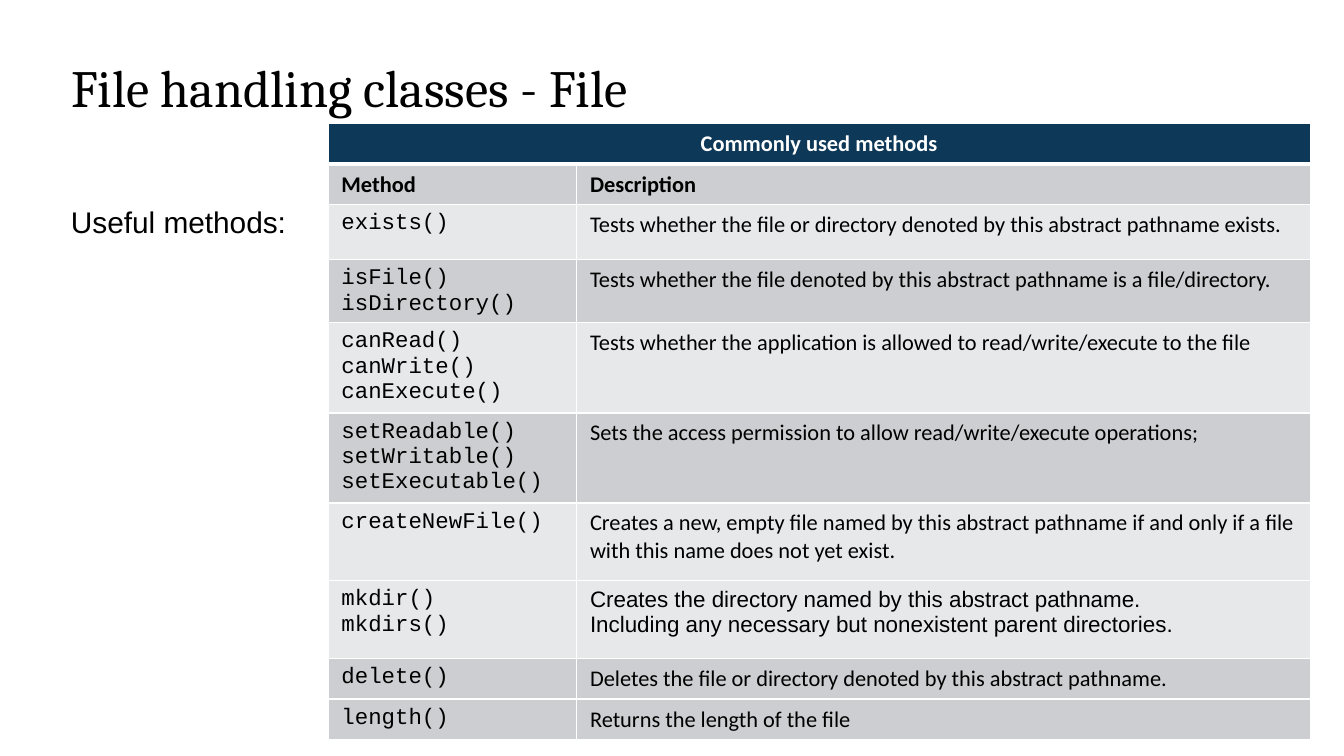
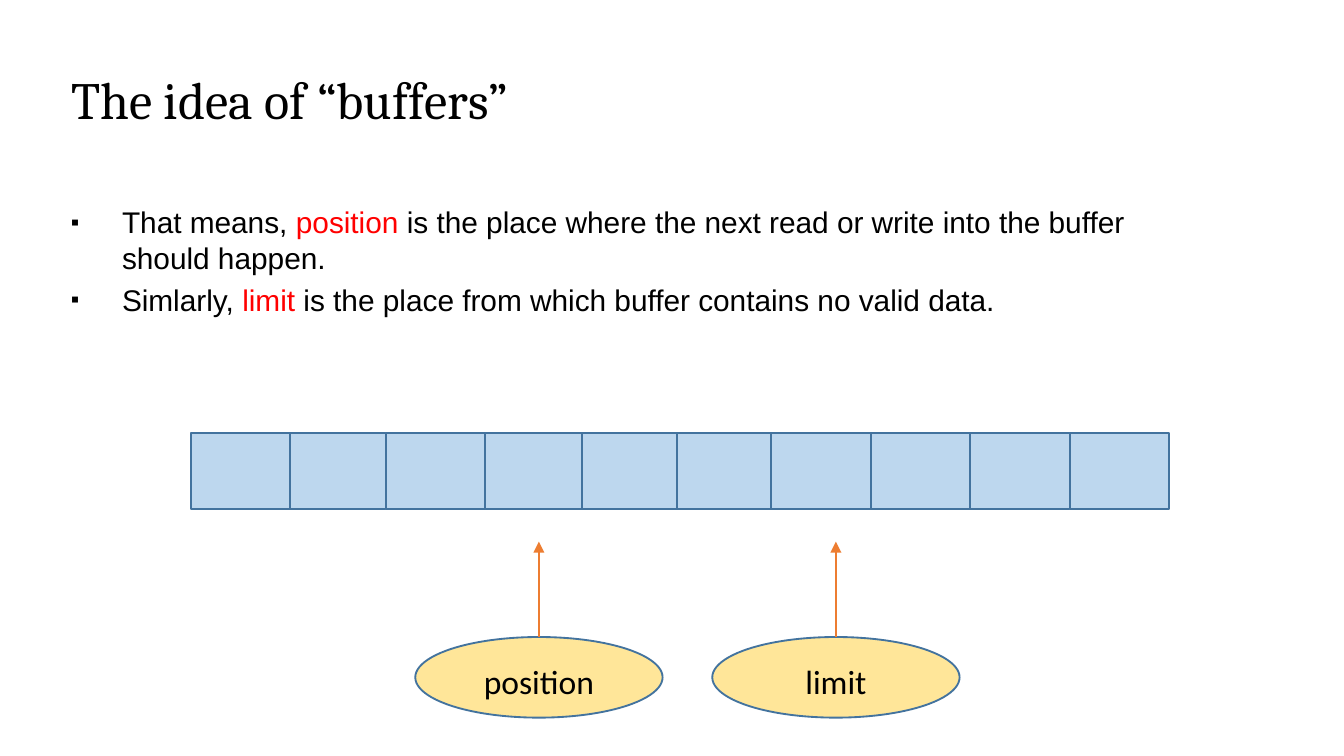
from dataclasses import dataclass

import pptx
import pptx.dml.color
import pptx.enum.shapes
import pptx.enum.text
import pptx.oxml.ns
import pptx.util
from lxml import etree

RGBColor = pptx.dml.color.RGBColor
Inches = pptx.util.Inches
Pt = pptx.util.Pt
PP_ALIGN = pptx.enum.text.PP_ALIGN
MSO_SHAPE = pptx.enum.shapes.MSO_SHAPE
qn = pptx.oxml.ns.qn

BLACK = RGBColor(0x00, 0x00, 0x00)
WHITE = RGBColor(0xFF, 0xFF, 0xFF)
RED = RGBColor(0xFF, 0x00, 0x00)
NAVY = RGBColor(0x0D, 0x38, 0x57)
DARK_BAND = RGBColor(0xCC, 0xCE, 0xD1)
LIGHT_BAND = RGBColor(0xE7, 0xE8, 0xEA)
CELL_BLUE = RGBColor(0xBD, 0xD7, 0xEE)
OUTLINE = RGBColor(0x43, 0x73, 0x9E)
LABEL_YELLOW = RGBColor(0xFF, 0xE6, 0x99)
ARROW_ORANGE = RGBColor(0xED, 0x7D, 0x31)

TITLE_FONT, BODY_FONT, TABLE_FONT, CODE_FONT = "Cambria", "Arial", "Calibri", "Courier New"
MARGIN, CONTENT_WIDTH, BODY_TOP = 0.43, 8.5, 1.47


@dataclass(frozen=True)
class MethodRow:
    methods: tuple[str, ...]
    description: tuple[str, ...]
    height: float
    fill: RGBColor
    font: str = TABLE_FONT
    method_font: str = CODE_FONT
    bold: bool = False


@dataclass(frozen=True)
class Marker:
    label: str
    left: float


METHOD_ROWS = (
    MethodRow(("Method",), ("Description",), 0.24, DARK_BAND, method_font=TABLE_FONT, bold=True),
    MethodRow(("exists()",),
              ("Tests whether the file or directory denoted by this abstract pathname exists.",),
              0.41, LIGHT_BAND),
    MethodRow(("isFile()", "isDirectory()"),
              ("Tests whether the file denoted by this abstract pathname is a file/directory.",),
              0.41, DARK_BAND),
    MethodRow(("canRead()", "canWrite()", "canExecute()"),
              ("Tests whether the application is allowed to read/write/execute to the file",),
              0.58, LIGHT_BAND),
    MethodRow(("setReadable()", "setWritable()", "setExecutable()"),
              ("Sets the access permission to allow read/write/execute operations;",),
              0.58, DARK_BAND),
    MethodRow(("createNewFile()",),
              ("Creates a new, empty file named by this abstract pathname if and only if "
               "a file with this name does not yet exist.",),
              0.58, LIGHT_BAND),
    MethodRow(("mkdir()", "mkdirs()"),
              ("Creates the directory named by this abstract pathname.",
               "Including any necessary but nonexistent parent directories."),
              0.58, LIGHT_BAND, font=BODY_FONT),
    MethodRow(("delete()",),
              ("Deletes the file or directory denoted by this abstract pathname.",),
              0.25, DARK_BAND),
    MethodRow(("length()",), ("Returns the length of the file",), 0.25, DARK_BAND),
)

BUFFER_POINTS = (
    ("That means, ", "position",
     " is the place where the next read or write into the buffer should happen."),
    ("Simlarly, ", "limit", " is the place from which buffer contains no valid data."),
)
BUFFER_LEFTS = (1.42, 3.59, 4.33, 5.04, 5.74, 6.48, 7.22, 7.96, 2.16, 2.87)
MARKERS = (Marker("limit", 5.3), Marker("position", 3.09))


def write(p, text: str, *, font: str = BODY_FONT, size: float = 16,
          color: RGBColor = BLACK, bold: bool = False) -> None:
    r = p.add_run()
    r.text = text
    r.font.name, r.font.size, r.font.bold = font, Pt(size), bold
    r.font.color.rgb = color


def write_lines(tf, lines: tuple[str, ...], align=PP_ALIGN.LEFT, **style) -> None:
    for i, line in enumerate(lines):
        p = tf.add_paragraph() if i else tf.paragraphs[0]
        p.alignment = align
        write(p, line, **style)


def add_titled_slide(prs, title: str, top: float):
    s = prs.slides.add_slide(prs.slide_layouts[5])
    sp = s.shapes.title
    sp.left, sp.top = Inches(MARGIN), Inches(top)
    sp.width, sp.height = Inches(CONTENT_WIDTH), Inches(0.94)
    tf = sp.text_frame
    tf.auto_size = pptx.enum.text.MSO_AUTO_SIZE.NONE
    tf.vertical_anchor = pptx.enum.text.MSO_ANCHOR.TOP
    write_lines(tf, (title,), font=TITLE_FONT, size=28)
    return s


def add_text_box(shapes, left: float, top: float, width: float, height: float):
    tf = shapes.add_textbox(Inches(left), Inches(top), Inches(width), Inches(height)).text_frame
    tf.word_wrap = True
    return tf


def add_bullet(p) -> None:
    pPr = p._p.get_or_add_pPr()
    pPr.set("marL", str(Inches(0.38)))
    pPr.set("indent", str(-Inches(0.38)))
    color = etree.SubElement(pPr, qn("a:buClr"))
    etree.SubElement(color, qn("a:srgbClr"), val=str(BLACK))
    etree.SubElement(pPr, qn("a:buSzPct"), val="80000")
    etree.SubElement(pPr, qn("a:buFont"), typeface=BODY_FONT)
    etree.SubElement(pPr, qn("a:buChar"), char="▪")


def style_cell(cell, fill: RGBColor, top: float = 1, bottom: float = 1) -> None:
    """Give a cell white borders, in points, and a solid fill."""
    tcPr = cell._tc.get_or_add_tcPr()
    for side, width in (("L", 1), ("R", 1), ("T", top), ("B", bottom)):
        ln = etree.SubElement(tcPr, qn(f"a:ln{side}"), w=str(Pt(width)))
        solid = etree.SubElement(ln, qn("a:solidFill"))
        etree.SubElement(solid, qn("a:srgbClr"), val=str(WHITE))
    cell.fill.solid()
    cell.fill.fore_color.rgb = fill


def add_method_table(s) -> None:
    frame = s.shapes.add_table(len(METHOD_ROWS) + 1, 2, Inches(2.44), Inches(0.92),
                               Inches(7.31), Inches(4.67))
    table = frame.table
    table.first_row = table.horz_banding = False
    for column, width in zip(table.columns, (1.85, 5.46)):
        column.width = Inches(width)

    table.rows[0].height = Inches(0.24)
    for cell in table.rows[0].cells:
        style_cell(cell, NAVY, bottom=3)
    header = table.cell(0, 0)
    header.merge(table.cell(0, 1))
    write_lines(header.text_frame, ("Commonly used methods",), PP_ALIGN.CENTER,
                font=TABLE_FONT, size=12, color=WHITE, bold=True)

    for i, row in enumerate(METHOD_ROWS, start=1):
        table.rows[i].height = Inches(row.height)
        contents = ((row.methods, row.method_font), (row.description, row.font))
        for cell, (lines, font) in zip(table.rows[i].cells, contents):
            style_cell(cell, row.fill, top=3 if i == 1 else 1)
            if font == CODE_FONT:
                cell.margin_bottom = Inches(0.02)
            write_lines(cell.text_frame, lines, font=font, size=12, bold=row.bold)


def add_outlined(shapes, kind, left: float, top: float, width: float, height: float,
                 fill: RGBColor) -> None:
    sp = shapes.add_shape(kind, Inches(left), Inches(top), Inches(width), Inches(height))
    sp.shadow.inherit = False
    sp.fill.solid()
    sp.fill.fore_color.rgb = fill
    sp.line.color.rgb = OUTLINE
    sp.line.width = Pt(1)


def add_up_arrow(shapes, x: float, bottom: float, top: float) -> None:
    line = shapes.add_connector(pptx.enum.shapes.MSO_CONNECTOR.STRAIGHT,
                                Inches(x), Inches(bottom), Inches(x), Inches(top))
    line.line.color.rgb = ARROW_ORANGE
    line.line.width = Pt(1)
    etree.SubElement(line.line._get_or_add_ln(), qn("a:tailEnd"), type="triangle")
    etree.SubElement(line._element.spPr, qn("a:effectLst"))


def add_marker(s, marker: Marker) -> None:
    """Draw a labelled ellipse with an arrow up to the buffer."""
    top, width = 4.74, 1.84
    shapes = s.shapes.add_group_shape().shapes
    add_outlined(shapes, MSO_SHAPE.OVAL, marker.left, top, width, 0.6, LABEL_YELLOW)
    tf = add_text_box(shapes, marker.left + 0.28, top + 0.13, 1.28, 0.35)
    write_lines(tf, (marker.label,), PP_ALIGN.CENTER, font=TABLE_FONT, size=18)
    add_up_arrow(shapes, marker.left + width / 2, top, 4.03)


def build_file_slide(prs) -> None:
    s = add_titled_slide(prs, "File handling classes - File", 0.36)
    tf = add_text_box(s.shapes, MARGIN, BODY_TOP, 1.84, 0.34)
    write_lines(tf, ("Useful methods:",))
    tf.paragraphs[0].space_before = Pt(3.2)
    add_method_table(s)


def build_buffer_slide(prs) -> None:
    s = add_titled_slide(prs, "The idea of “buffers”", 0.45)
    tf = add_text_box(s.shapes, MARGIN, BODY_TOP, CONTENT_WIDTH, 1.66)
    for i, (before, term, after) in enumerate(BUFFER_POINTS):
        p = tf.add_paragraph() if i else tf.paragraphs[0]
        p.space_before = Pt(3.2)
        add_bullet(p)
        write(p, before)
        write(p, term, color=RED)
        write(p, after)

    buffer = s.shapes.add_group_shape().shapes
    for left in BUFFER_LEFTS:
        add_outlined(buffer, MSO_SHAPE.RECTANGLE, left, 3.22, 0.74, 0.57, CELL_BLUE)
    for marker in MARKERS:
        add_marker(s, marker)


def main() -> None:
    prs = pptx.Presentation()
    prs.slide_width = Inches(10)
    prs.slide_height = prs.slide_width * 9 // 16
    build_file_slide(prs)
    build_buffer_slide(prs)
    prs.save("out.pptx")


if __name__ == "__main__":
    main()
